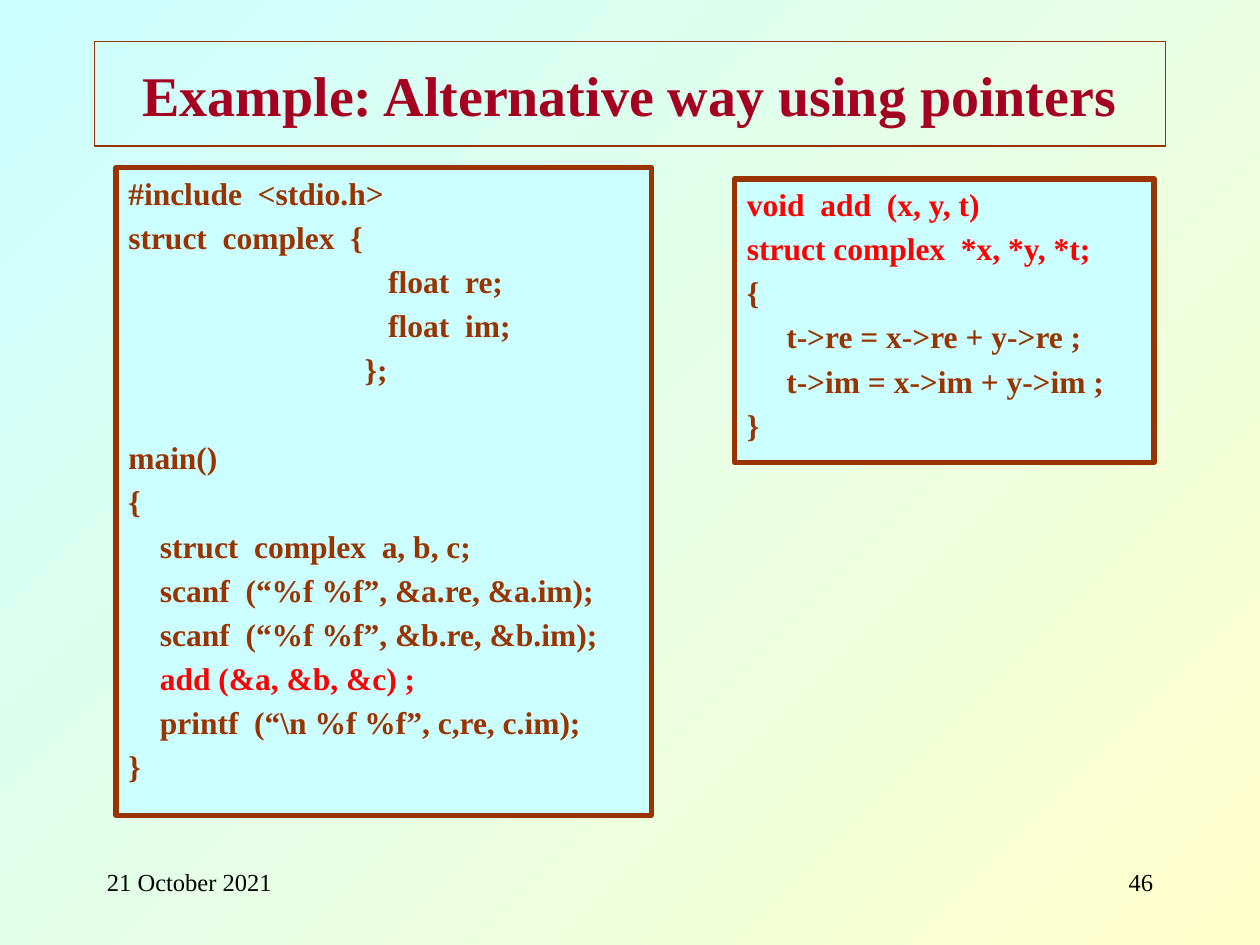
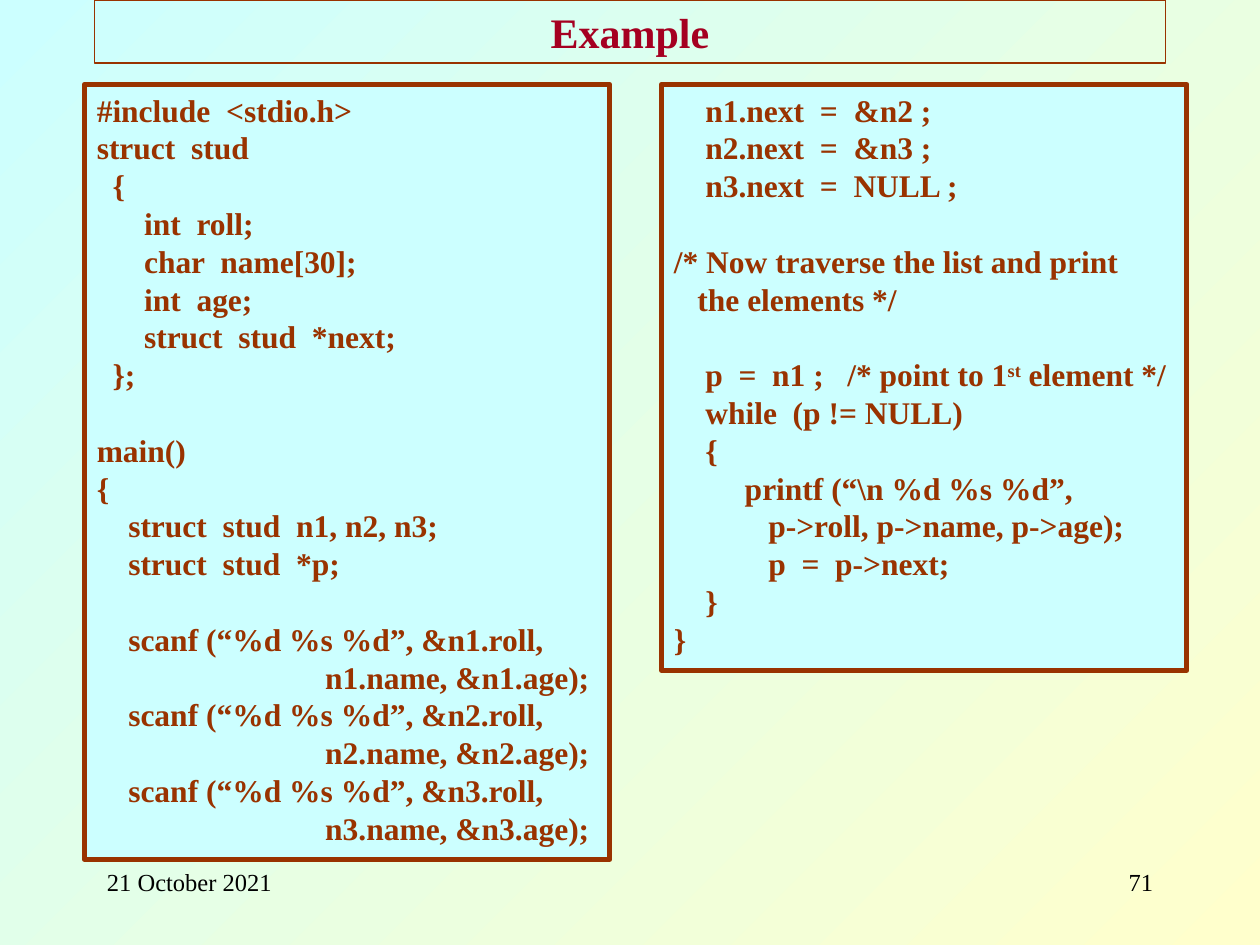
from pptx import Presentation
from pptx.dml.color import RGBColor
from pptx.enum.shapes import MSO_SHAPE
from pptx.enum.text import MSO_ANCHOR, PP_ALIGN
from pptx.util import Inches, Pt

RECT = MSO_SHAPE.RECTANGLE
TOP, MIDDLE = MSO_ANCHOR.TOP, MSO_ANCHOR.MIDDLE
LEFT, CENTER, RIGHT = PP_ALIGN.LEFT, PP_ALIGN.CENTER, PP_ALIGN.RIGHT

CYAN = RGBColor(0xCC, 0xFF, 0xFF)
CREAM = RGBColor(0xFF, 0xFF, 0xCC)
BROWN = RGBColor(0x99, 0x33, 0x00)
CRIMSON = RGBColor(0xA5, 0x00, 0x21)
RED = RGBColor(0xFF, 0x00, 0x00)
BLACK = RGBColor(0x00, 0x00, 0x00)

FONT = "Times New Roman"
CODE_SIZE = 18
LINE_HEIGHT = 21.6
INDENT = Pt(4.5)  # one column of code indentation

# Program listings: leading columns become indents, ^ encloses a superscript
COMPLEX_MAIN = r"""#include  <stdio.h>
struct  complex  {
                                 float  re;
                                 float  im;
                              };

main()
{
    struct  complex  a, b, c;
    scanf  (“%f %f”, &a.re, &a.im);
    scanf  (“%f %f”, &b.re, &b.im);
    add (&a, &b, &c) ;
    printf  (“\n %f %f”, c,re, c.im);
}"""

COMPLEX_ADD = """void  add  (x, y, t)
struct complex  *x, *y, *t;
{
     t->re = x->re + y->re ;
     t->im = x->im + y->im ;
}"""

LIST_BUILD = """#include  <stdio.h>
struct  stud
  {
      int  roll;
      char  name[30];
      int  age;
      struct  stud  *next;
  };

main()
{
    struct  stud  n1, n2, n3;
    struct  stud  *p;

    scanf (“%d %s %d”, &n1.roll,
                             n1.name, &n1.age);
    scanf (“%d %s %d”, &n2.roll,
                             n2.name, &n2.age);
    scanf (“%d %s %d”, &n3.roll,
                             n3.name, &n3.age);"""

LIST_TRAVERSE = r"""    n1.next  =  &n2 ;
    n2.next  =  &n3 ;
    n3.next  =  NULL ;

/* Now traverse the list and print
   the elements */

    p  =  n1 ;   /* point to 1^st^ element */
    while  (p != NULL)
    {
         printf (“\n %d %s %d”,
            p->roll, p->name, p->age);
            p  =  p->next;
    }
}"""

RED_LINES = {"void  add  (x, y, t)", "struct complex  *x, *y, *t;",
             "add (&a, &b, &c) ;"}

# Title, title top, height and size, page number, paragraph gap, code boxes
SLIDES = [
    ("Example: Alternative way using pointers", 0.33, 0.83, 32, "46", 3.6,
     [(0.92, 1.33, 4.25, 5.14, COMPLEX_MAIN),
      (5.83, 1.42, 3.33, 2.25, COMPLEX_ADD)]),
    ("Example", 0, 0.5, 24, "71", 0,
     [(0.67, 0.67, 4.17, 6.15, LIST_BUILD),
      (5.25, 0.67, 4.17, 4.65, LIST_TRAVERSE)]),
]


def style(r, size, color, bold=False):
    r.font.name = FONT
    r.font.size = Pt(size)
    r.font.bold = bold
    r.font.color.rgb = color


def add_code(s, left, top, width, height, code, gap):
    sp = s.shapes.add_shape(RECT, Inches(left), Inches(top),
                            Inches(width), Inches(height))
    sp.shadow.inherit = False
    sp.fill.solid()
    sp.fill.fore_color.rgb = CYAN
    sp.line.color.rgb = BROWN
    sp.line.width = Pt(3)
    tf = sp.text_frame
    tf.word_wrap = True
    tf.vertical_anchor = TOP
    p = tf.paragraphs[0]
    before = gap
    for i, line in enumerate(code.split("\n")):
        text = line.lstrip()
        if not text:  # an empty code line widens the next gap
            before += LINE_HEIGHT + gap
            continue
        if i:
            p = tf.add_paragraph()
        p.alignment = LEFT
        p.line_spacing = Pt(LINE_HEIGHT)
        p.space_before = Pt(before)
        before = gap
        pPr = p._p.get_or_add_pPr()
        pPr.set("marL", str((len(line) - len(text)) * INDENT))
        pPr.set("indent", "0")
        for n, part in enumerate(text.split("^")):
            r = p.add_run()
            r.text = part
            style(r, CODE_SIZE, RED if text in RED_LINES else BROWN, True)
            if n % 2:
                r._r.get_or_add_rPr().set("baseline", "30000")


prs = Presentation()
prs.slide_width, prs.slide_height = Inches(10), Inches(7.5)

# Shared diagonal background
fill = prs.slide_master.background.fill
fill.gradient()
fill.gradient_angle = 315
for stop, color in zip(fill.gradient_stops, (CYAN, CREAM)):
    stop.color.rgb = color

for title, top, height, size, number, gap, boxes in SLIDES:
    s = prs.slides.add_slide(prs.slide_layouts[5])

    # Framed title
    sp = s.shapes.title
    sp.left, sp.top = Inches(0.75), Inches(top)
    sp.width, sp.height = Inches(8.5), Inches(height)
    sp.line.color.rgb = BROWN
    sp.line.width = Pt(0.75)
    tf = sp.text_frame
    tf.text = title
    tf.vertical_anchor = MIDDLE
    p = tf.paragraphs[0]
    p.alignment = CENTER
    style(p.runs[0], size, CRIMSON, True)

    # Date and page number
    for left, text, align in ((0.75, "21 October 2021", LEFT),
                              (7.17, number, RIGHT)):
        tf = s.shapes.add_textbox(Inches(left), Inches(6.83),
                                  Inches(2.08), Inches(0.5)).text_frame
        tf.word_wrap = True
        tf.text = text
        p = tf.paragraphs[0]
        p.alignment = align
        style(p.runs[0], 14, BLACK)

    # Code boxes
    for box in boxes:
        add_code(s, *box, gap)

prs.save("out.pptx")
